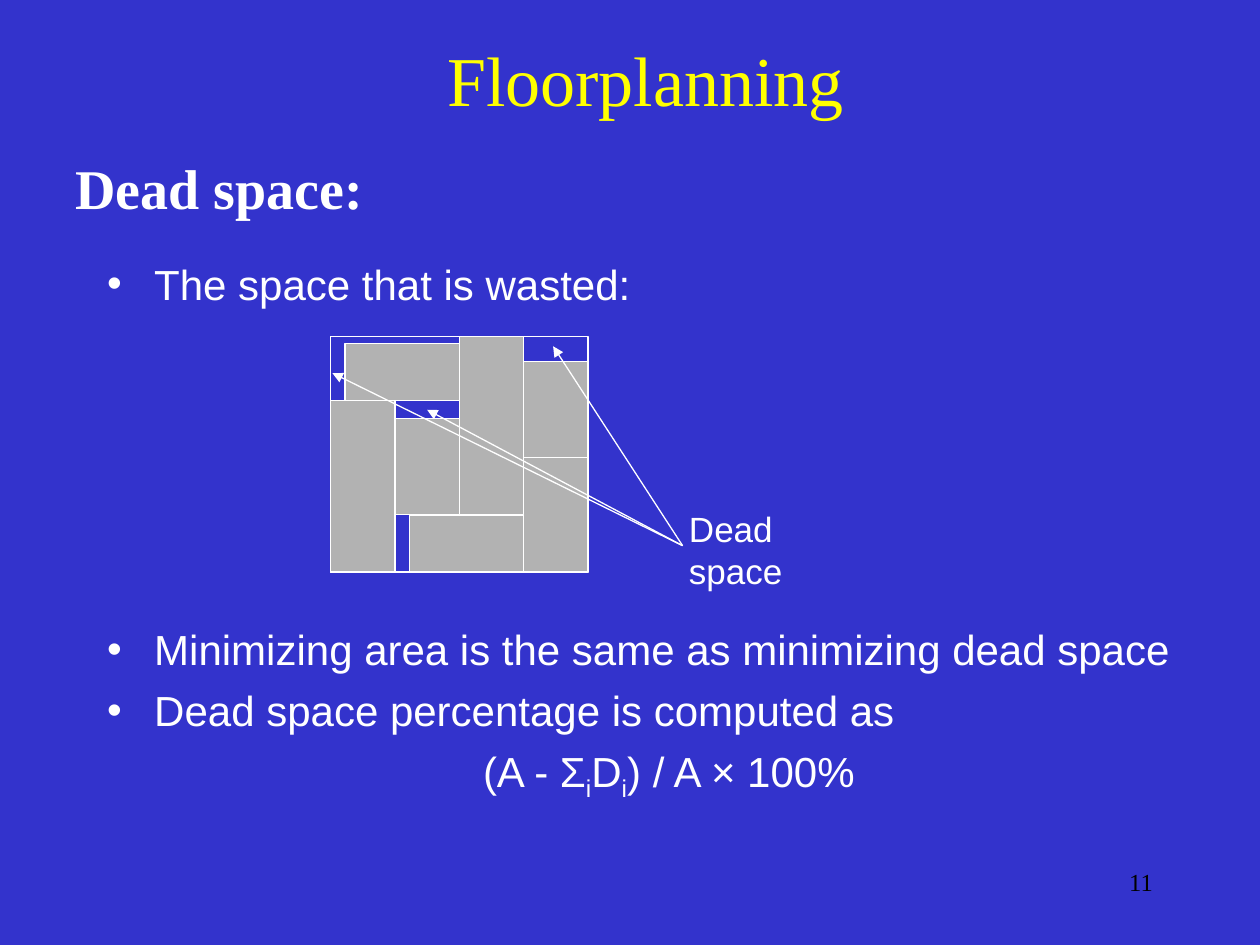
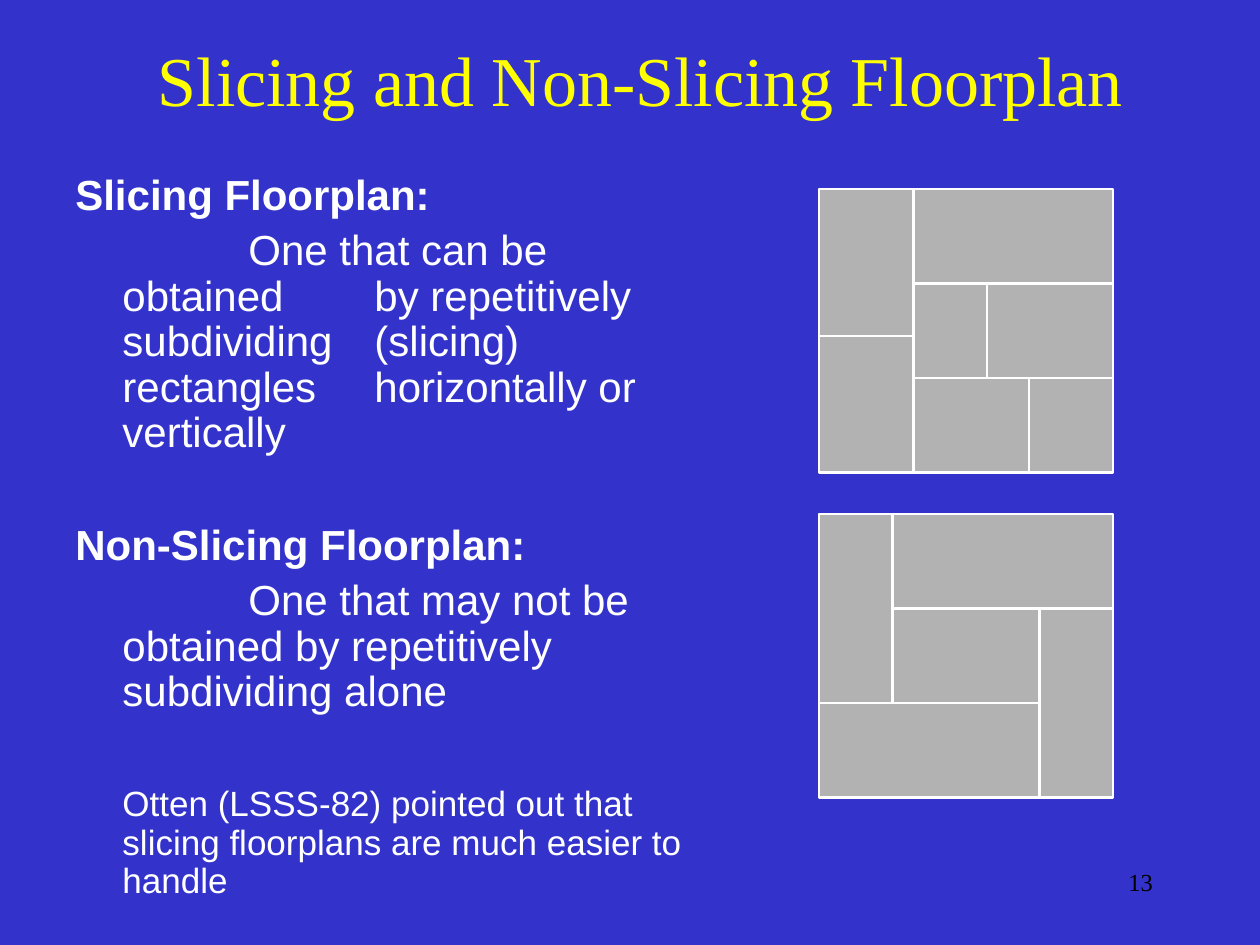
from dataclasses import dataclass

from lxml.etree import SubElement
from pptx import Presentation
from pptx.dml.color import RGBColor
from pptx.enum.shapes import MSO_CONNECTOR, MSO_SHAPE
from pptx.enum.text import MSO_ANCHOR, MSO_AUTO_SIZE, PP_ALIGN
from pptx.oxml.ns import qn
from pptx.util import Cm, Pt


@dataclass(frozen=True)
class Theme:
    back: str = "3333CC"
    title: str = "FFFF00"
    ink: str = "FFFFFF"
    block: str = "B2B2B2"
    page: str = "000000"
    sans: str = "Arial"
    serif: str = "Times New Roman"
    huge: int = 40
    large: int = 32
    body: int = 24
    small: int = 20
    tiny: int = 14


T = Theme()
HANG = 0.95  # hanging indent in cm
TAB = 2.54  # tab pitch in cm

# Blocks as column, row, width, height in grid units
DEAD = [(27, 3.5, 9, 13.5), (27, 17, 9, 16), (11, 25, 16, 8), (18, 0, 9, 25),
        (9, 11.5, 9, 13.5), (2, 1, 16, 8), (0, 9, 9, 24)]
WHEEL = [(0, 0, 7, 18), (7, 0, 21, 9), (7, 9, 14, 9), (21, 9, 7, 18),
         (0, 18, 21, 9)]
SLICED = [(0, 0, 9, 14), (9, 0, 19, 9), (9, 9, 7, 9), (0, 14, 9, 13),
          (9, 18, 11, 9), (16, 9, 12, 9), (20, 18, 8, 9)]


def rgb(code):
    return RGBColor.from_string(code)


# Text
def frame(slide, box, anchor=MSO_ANCHOR.TOP, wrap=True):
    """Add an empty text box, placed by left, top, width, height in cm."""
    body = slide.shapes.add_textbox(*map(Cm, box)).text_frame
    body.word_wrap = wrap
    if not wrap:
        body.auto_size = MSO_AUTO_SIZE.SHAPE_TO_FIT_TEXT
    body.vertical_anchor = anchor
    return body


def write(body, text, size=T.body, font=T.sans, color=T.ink, bold=False,
          align=PP_ALIGN.LEFT, before=0, line=None, left=0, first=0,
          bullet=None):
    """Add a paragraph; text is a string or a list of (text, changes)."""
    fresh = len(body.paragraphs) == 1 and not body.paragraphs[0].runs
    para = body.paragraphs[0] if fresh else body.add_paragraph()
    para.alignment = align
    para.space_before = Pt(before)
    if line:
        para.line_spacing = line
    props = para._p.get_or_add_pPr()
    props.set("marL", str(Cm(left)))
    props.set("indent", str(Cm(first)))
    props.set("defTabSz", str(Cm(TAB)))
    if bullet:
        tint = SubElement(props, qn("a:buClr"))
        SubElement(tint, qn("a:srgbClr"), val=color)
        SubElement(props, qn("a:buFont"), typeface=font)
        SubElement(props, qn("a:buChar"), char=bullet)
    for part, diff in [(text, {})] if isinstance(text, str) else text:
        run = para.add_run()
        run.text = part
        run.font.name = font
        run.font.size = Pt(diff.get("size", size))
        run.font.bold = bold
        run.font.color.rgb = rgb(color)
        if "base" in diff:
            run._r.get_or_add_rPr().set("baseline", str(diff["base"] * 1000))


# Drawing
def block(shapes, box, width, fill=T.block):
    item = shapes.add_shape(MSO_SHAPE.RECTANGLE, *map(Cm, box))
    item.shadow.inherit = False
    if fill:
        item.fill.solid()
        item.fill.fore_color.rgb = rgb(fill)
    else:
        item.fill.background()
    item.line.color.rgb = rgb(T.ink)
    item.line.width = Pt(width)


def plan(slide, left, top, unit, blocks, width, edge=None):
    """Draw a grouped floorplan; edge is the size of its outer frame."""
    group = slide.shapes.add_group_shape().shapes
    for x, y, w, h in blocks:
        block(group, (left + x * unit, top + y * unit, w * unit, h * unit),
              width)
    if edge:
        block(group, (left, top, edge[0] * unit, edge[1] * unit), width, None)


def arrow(slide, start, end):
    item = slide.shapes.add_connector(MSO_CONNECTOR.STRAIGHT,
                                      *map(Cm, start + end))
    item.line.color.rgb = rgb(T.ink)
    item.line.width = Pt(0.75)
    SubElement(item.line._get_or_add_ln(), qn("a:tailEnd"), type="triangle")
    SubElement(item._element.spPr, qn("a:effectLst"))


# Shared base: background, title, page number
def base(deck, title, left, width, page):
    slide = deck.slides.add_slide(deck.slide_layouts[6])
    slide.background.fill.solid()
    slide.background.fill.fore_color.rgb = rgb(T.back)
    write(frame(slide, (left, 0.42, width, 2.33), MSO_ANCHOR.MIDDLE), title,
          size=T.huge, font=T.serif, color=T.title, align=PP_ALIGN.CENTER)
    write(frame(slide, (18.21, 17.35, 5.28, 1.27)), str(page), size=T.tiny,
          font=T.serif, color=T.page, align=PP_ALIGN.RIGHT)
    return slide


def waste(deck):
    slide = base(deck, "Floorplanning", 3.39, 19.25, 11)
    write(frame(slide, (1.27, 2.97, 22.86, 1.9)), "Dead space:",
          size=T.large, font=T.serif, bold=True)

    # Bullets, with room for the drawing after the first
    body = frame(slide, (1.91, 5.08, 22.43, 11.43))
    for text, gap in [
            ("The space that is wasted:", 0),
            ("Minimizing area is the same as minimizing dead space", 180),
            ("Dead space percentage is computed as", 6)]:
        write(body, text, before=gap, left=HANG, first=-HANG, bullet="•")
    sub = {"base": -25}
    write(body, [("(A - Σ", {}), ("i", sub), ("D", {}), ("i", sub),
                 (") / A × 100%", {})],
          before=6, left=0.72, align=PP_ALIGN.CENTER)

    # Floorplan with its dead space marked
    plan(slide, 6.67, 6.78, 0.144, DEAD, 0.75, edge=(36, 33))
    write(frame(slide, (13.64, 10.11, 4.27, 1.12), wrap=False), "Dead space",
          size=T.small)
    for end in [(11.15, 6.98), (8.61, 8.26), (6.7, 7.52)]:
        arrow(slide, (13.76, 11), end)


def slicing(deck):
    slide = base(deck, "Slicing and Non-Slicing Floorplan", 2.54, 20.74, 13)

    # Definitions
    body = frame(slide, (1.27, 3.38, 12.9, 13.77))
    for text, gap, bold in [
            ("Slicing Floorplan:", 0, True),
            ("\t\tOne that can be obtained \tby repetitively subdividing "
             "\t(slicing) rectangles \thorizontally or vertically", 6, False),
            ("Non-Slicing Floorplan:", 38.5, True),
            ("\t\tOne that may not be \tobtained by repetitively "
             "\tsubdividing alone", 6, False),
            ([("\t", {}),
              ("Otten (LSSS-82) pointed out that slicing floorplans are "
               "much easier to handle", {"size": T.small})], 37, False)]:
        write(body, text, bold=bold, before=gap, line=0.9, left=HANG,
              first=-HANG)

    # Both kinds of floorplan
    unit = TAB / 12
    plan(slide, 16.51, 10.36, unit, WHEEL, 1.5)
    plan(slide, 16.51, 3.81, unit, SLICED, 1.5)


def main():
    deck = Presentation()
    deck.slide_width, deck.slide_height = Cm(25.4), Cm(19.05)
    waste(deck)
    slicing(deck)
    deck.save("out.pptx")


if __name__ == "__main__":
    main()
